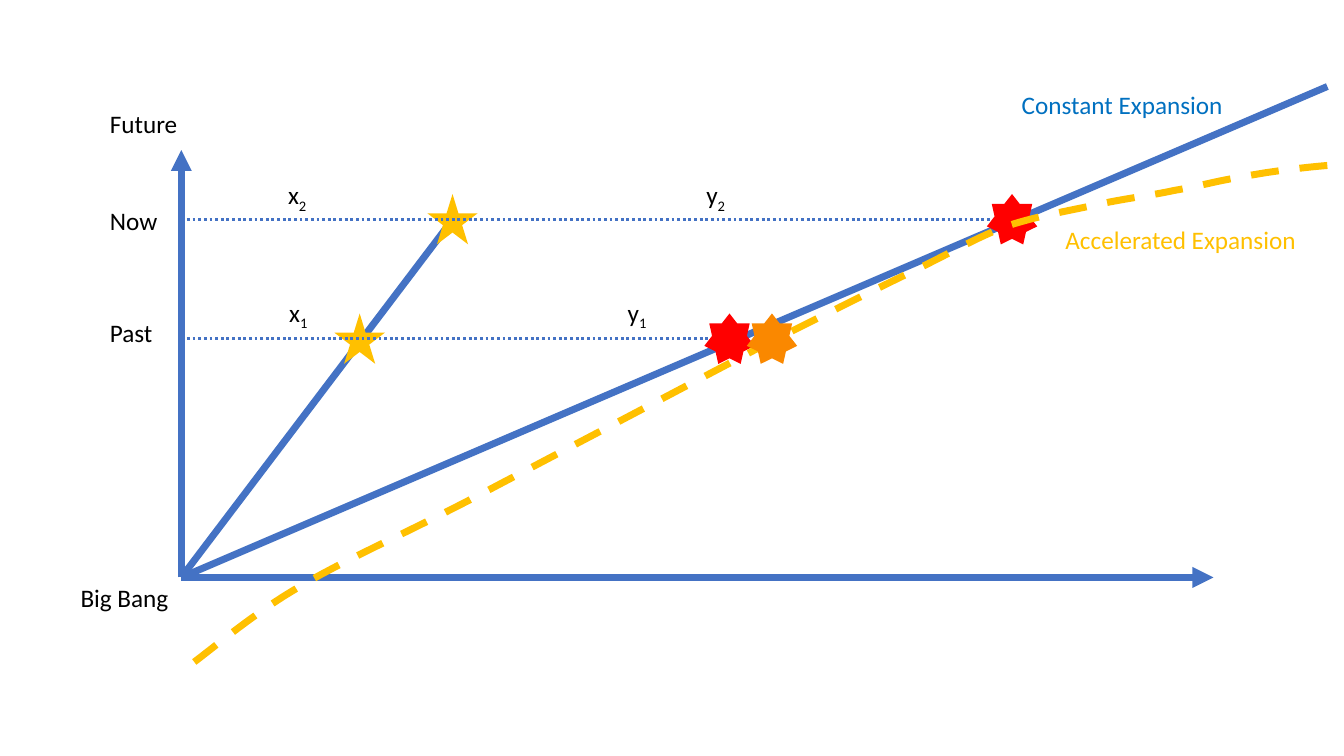
from lxml.etree import SubElement
from pptx import Presentation
from pptx.dml.color import RGBColor
from pptx.enum.dml import MSO_LINE
from pptx.enum.shapes import MSO_CONNECTOR, MSO_SHAPE
from pptx.enum.text import MSO_AUTO_SIZE
from pptx.oxml.ns import qn
from pptx.util import Cm, Pt

BLUE = RGBColor(0x44, 0x72, 0xC4)
LABEL_BLUE = RGBColor(0x00, 0x70, 0xC0)
GOLD = RGBColor(0xFF, 0xC0, 0x00)
RED = RGBColor(0xFF, 0x00, 0x00)
ORANGE = RGBColor(0xFA, 0x88, 0x00)
BLACK = RGBColor(0x00, 0x00, 0x00)

# All lengths in centimetres
ORIGIN_X, ORIGIN_Y = ORIGIN = (4.57, 14.55)
NOW_Y, PAST_Y = 5.54, 8.53
NOW_TOP, PAST_TOP = 4.89, 7.9
MARKER = 1.27
LABEL_HEIGHT = 1.03
CURVE_STEPS = 12

# Cubic segments of the accelerated curve: two controls and an end each
CURVE_START = (33.45, 4.17)
CURVE = [
    ((32.66, 4.24), (31.88, 4.34), (31.24, 4.47)),
    ((30.61, 4.57), (30.2, 4.7), (29.59, 4.8)),
    ((29.01, 4.93), (28.35, 5), (27.64, 5.16)),
    ((26.95, 5.31), (26.16, 5.44), (25.4, 5.69)),
    ((24.64, 5.97), (24.1, 6.3), (23.06, 6.81)),
    ((22.05, 7.29), (19.23, 8.71), (19.23, 8.71)),
    ((19.23, 8.71), (11.99, 12.52), (11.99, 12.52)),
    ((10.03, 13.54), (8.69, 14.1), (7.47, 14.83)),
    ((6.22, 15.57), (5.11, 16.56), (4.57, 16.92)),
]


def set_attributes(target, values):
    for name, value in values.items():
        setattr(target, name, value)


def style_line(line, color, width, dash=None):
    line.color.rgb = color
    set_attributes(line, {"width": Pt(width), "dash_style": dash})


def add_line(s, start, end, width=5, dash=None, arrow=False):
    points = [Cm(v) for v in (*start, *end)]
    connector = s.shapes.add_connector(MSO_CONNECTOR.STRAIGHT, *points)
    style_line(connector.line, BLUE, width, dash)
    if arrow:
        SubElement(connector.get_or_add_ln(), qn("a:tailEnd"), type="triangle")
    SubElement(connector._element.spPr, qn("a:effectLst"))


def add_marker(s, kind, left, top, color):
    sp = s.shapes.add_shape(kind, Cm(left), Cm(top), Cm(MARKER), Cm(MARKER))
    sp.shadow.inherit = False
    sp.fill.solid()
    sp.fill.fore_color.rgb = color
    sp.line.fill.background()


def bezier(p0, p1, p2, p3, t):
    u = 1 - t
    return tuple(
        Cm(u**3 * a + 3 * u * u * t * b + 3 * u * t * t * c + t**3 * d)
        for a, b, c, d in zip(p0, p1, p2, p3)
    )


def add_curve(s):
    points, start = [], CURVE_START
    for c1, c2, end in CURVE:
        points += [bezier(start, c1, c2, end, i / CURVE_STEPS)
                   for i in range(1, CURVE_STEPS + 1)]
        start = end
    builder = s.shapes.build_freeform(*[Cm(v) for v in CURVE_START])
    builder.add_line_segments(points, close=False)
    sp = builder.convert_to_shape()
    sp.shadow.inherit = False
    sp.fill.background()
    style_line(sp.line, GOLD, 5, MSO_LINE.DASH)


def add_label(s, text, left, top, width, color=BLACK, subscript=None):
    box = s.shapes.add_textbox(Cm(left), Cm(top), Cm(width), Cm(LABEL_HEIGHT))
    tf = box.text_frame
    set_attributes(tf, {"word_wrap": False,
                        "auto_size": MSO_AUTO_SIZE.SHAPE_TO_FIT_TEXT})
    p = tf.paragraphs[0]
    for part in filter(None, (text, subscript)):
        r = p.add_run()
        r.text = part
        set_attributes(r.font, {"name": "Calibri", "size": Pt(18)})
        r.font.color.rgb = color
    if subscript:
        r._r.get_or_add_rPr().set("baseline", "-25000")


def main():
    prs = Presentation()
    set_attributes(prs, {"slide_width": Cm(33.87), "slide_height": Cm(19.05)})
    s = prs.slides.add_slide(prs.slide_layouts[6])

    # Axes
    for end in ((30.58, ORIGIN_Y), (ORIGIN_X, 3.78)):
        add_line(s, ORIGIN, end, arrow=True)

    # Constant expansion of the far and near objects
    for end in ((33.45, 2.18), (11.4, NOW_Y)):
        add_line(s, ORIGIN, end)

    # Near object
    for left, top in ((8.43, PAST_TOP), (10.77, NOW_TOP)):
        add_marker(s, MSO_SHAPE.STAR_5_POINT, left, top, GOLD)

    # Time levels
    for right, y in ((25.81, NOW_Y), (18.82, PAST_Y)):
        add_line(s, (ORIGIN_X, y), (right, y), 2, MSO_LINE.ROUND_DOT)

    # Far object, and its past place under accelerated expansion
    for left, top in ((24.87, NOW_TOP), (17.75, PAST_TOP)):
        add_marker(s, MSO_SHAPE.STAR_7_POINT, left, top, RED)
    add_curve(s)
    add_marker(s, MSO_SHAPE.STAR_7_POINT, 18.82, PAST_TOP, ORANGE)

    # Curve names
    add_label(s, "Constant Expansion", 25.5, 2.13, 5.64, LABEL_BLUE)
    add_label(s, "Accelerated Expansion", 26.6, 5.52, 6.38, GOLD)

    # Times
    for text, left, top, width in (
        ("Now", 2.52, 5.06, 1.73),
        ("Past", 2.52, 7.88, 1.6),
        ("Future", 2.52, 2.61, 2.24),
        ("Big Bang", 1.78, 14.55, 2.74),
    ):
        add_label(s, text, left, top, width)

    # Distances
    for text, index, left, top in (
        ("x", "2", 7.01, 4.4),
        ("x", "1", 7.04, 7.37),
        ("y", "2", 17.55, 4.4),
        ("y", "1", 15.57, 7.37),
    ):
        add_label(s, text, left, top, 1.02, subscript=index)

    prs.save("out.pptx")


if __name__ == "__main__":
    main()
